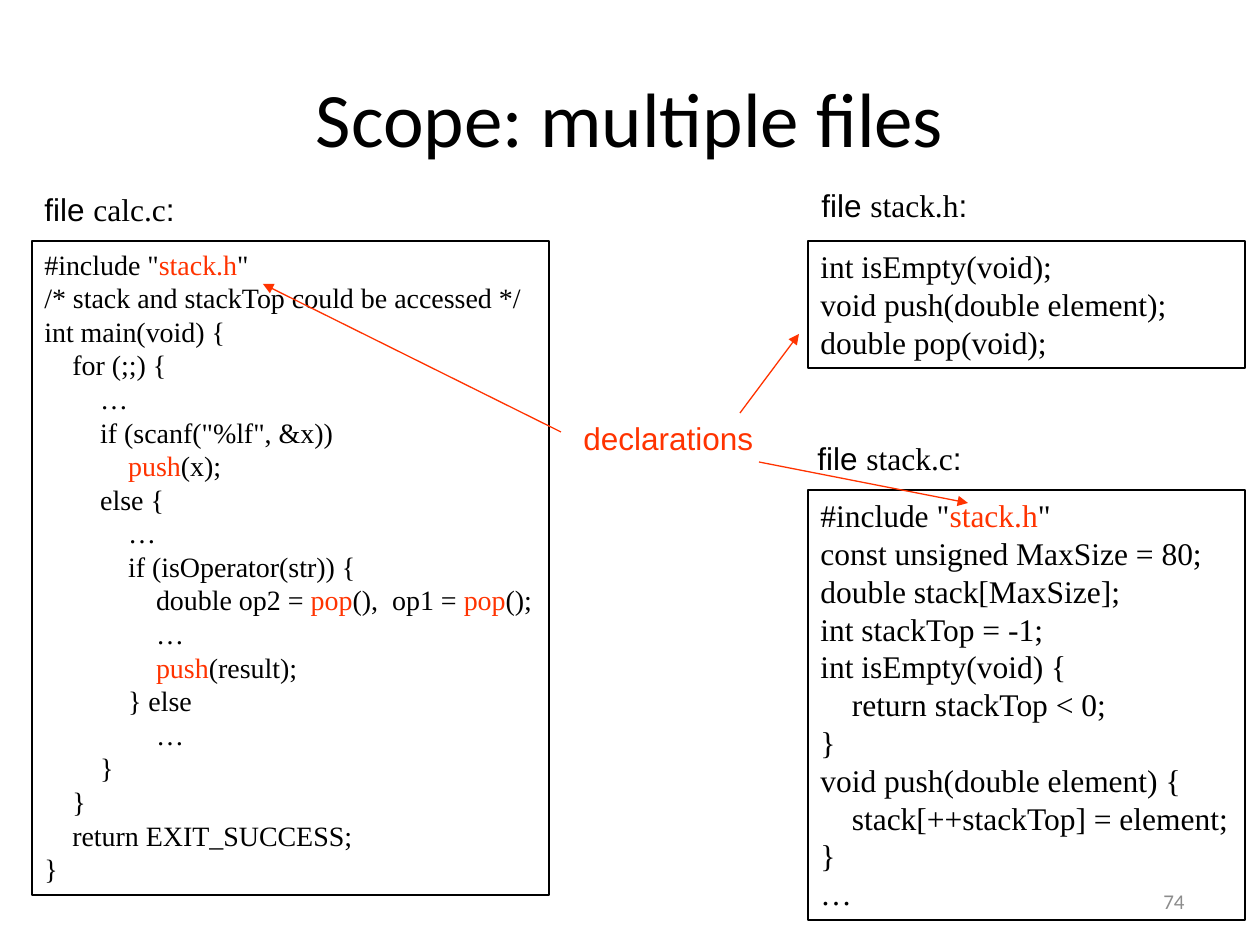
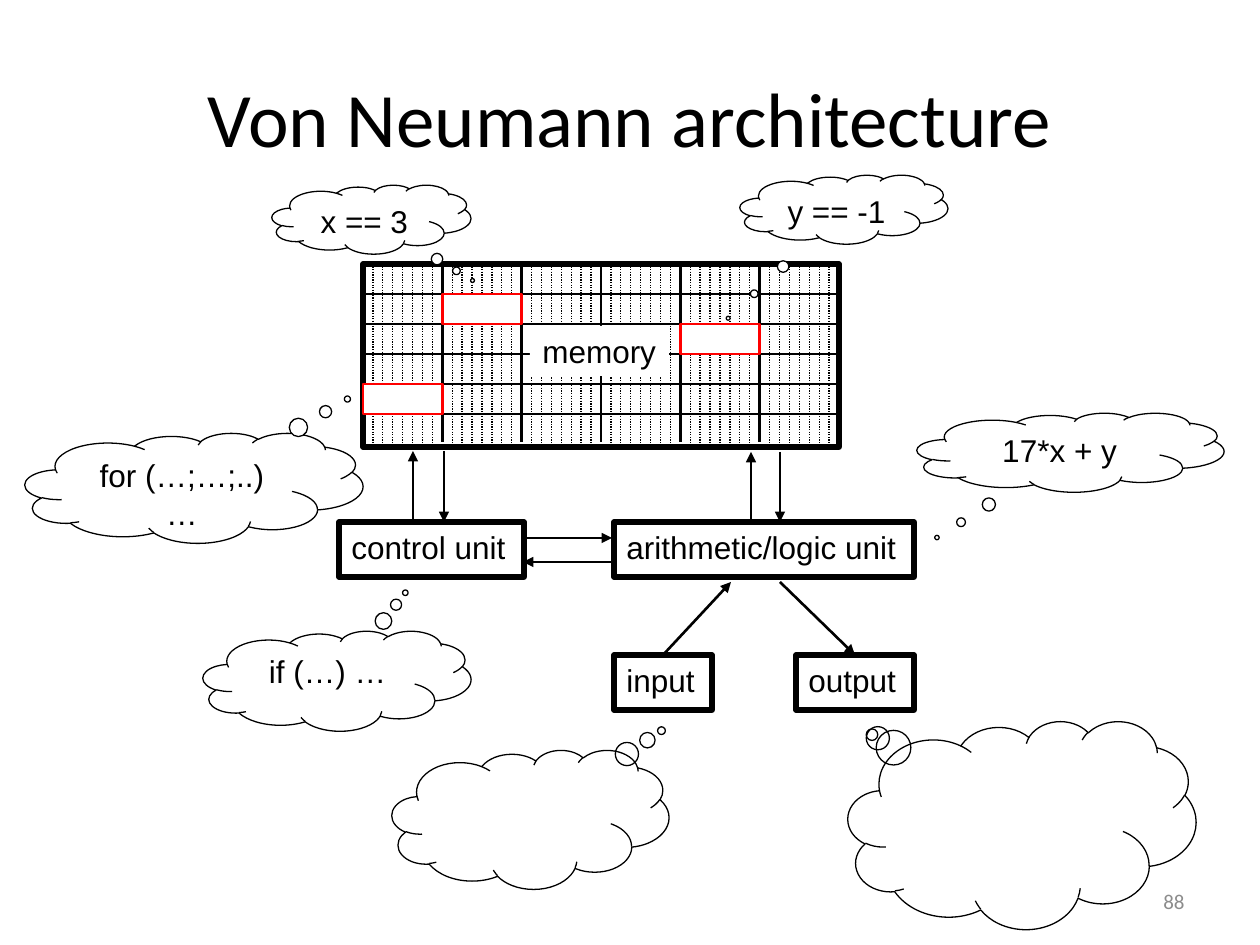
from lxml import etree
from pptx import Presentation
from pptx.dml.color import RGBColor
from pptx.enum.dml import MSO_LINE
from pptx.enum.shapes import MSO_CONNECTOR, MSO_SHAPE
from pptx.enum.text import MSO_ANCHOR, MSO_AUTO_SIZE, PP_ALIGN
from pptx.oxml.ns import qn
from pptx.util import Emu, Pt

RECT, CLOUD = MSO_SHAPE.RECTANGLE, MSO_SHAPE.CLOUD_CALLOUT
STRAIGHT = MSO_CONNECTOR.STRAIGHT
DOTTED = MSO_LINE.ROUND_DOT
LEFT, CENTER, RIGHT = PP_ALIGN.LEFT, PP_ALIGN.CENTER, PP_ALIGN.RIGHT
TOP, MIDDLE = MSO_ANCHOR.TOP, MSO_ANCHOR.MIDDLE
GROW = MSO_AUTO_SIZE.SHAPE_TO_FIT_TEXT

COLORS = {"ink": "000000", "white": "FFFFFF", "declared": "FF3300",
          "cell": "FF0000", "number": "8C8C8C"}
SANS, SERIF, HEADING = "Arial", "Times New Roman", "Calibri"
TOP_SIDE = 0

CALC_C = """#include "~stack.h~"
/* stack and stackTop could be accessed */
int main(void) {
    for (;;) {
        …
        if (scanf("%lf", &x))
            ~push~(x);
        else {
            …
            if (isOperator(str)) {
                double op2 = ~pop~(),  op1 = ~pop~();
                …
                ~push~(result);
            } else
                …
        }
    }
    return EXIT_SUCCESS;
}"""
STACK_H = """int isEmpty(void);
void push(double element);
double pop(void);"""
STACK_C = """#include "~stack.h~"
const unsigned MaxSize = 80;
double stack[MaxSize];
int stackTop = -1;
int isEmpty(void) {
    return stackTop < 0;
}
void push(double element) {
    stack[++stackTop] = element;
}
…"""


def px(length):
    return Emu(round(length * 914400 / 126))


def rgb(name):
    return RGBColor.from_string(COLORS[name])


def style_font(font, size, face, color="ink"):
    font.size, font.name = Pt(size), face
    font.color.rgb = rgb(color)


def add_outline(slide, box, kind=RECT, fill=None, line="ink", width=0.75):
    shape = slide.shapes.add_shape(kind, *map(px, box))
    shape.shadow.inherit = False
    if fill:
        shape.fill.solid()
        shape.fill.fore_color.rgb = rgb(fill)
    else:
        shape.fill.background()
    if line:
        shape.line.color.rgb = rgb(line)
        shape.line.width = Pt(width)
    else:
        shape.line.fill.background()
    return shape


def write(shape, text, size=18, face=SANS, color="ink", align=LEFT,
          anchor=TOP, wrap=False, grow=True):
    """Fill a shape with text; parts between tildes take the declared colour."""
    frame = shape.text_frame
    frame.word_wrap = wrap
    frame.vertical_anchor = anchor
    if grow:
        frame.auto_size = GROW
    for number, line in enumerate(text.split("\n")):
        paragraph = frame.add_paragraph() if number else frame.paragraphs[0]
        paragraph.alignment = align
        style_font(paragraph.font, size, face, color)
        for part, words in enumerate(line.split("~")):
            if words:
                run = paragraph.add_run()
                run.text = words
                if part % 2:
                    run.font.color.rgb = rgb("declared")


def add_text(slide, box, text, **style):
    write(slide.shapes.add_textbox(*map(px, box)), text, **style)


def add_line(slide, start, end, color="ink", width=0.75, dash=None, arrow=False):
    line = slide.shapes.add_connector(STRAIGHT, *map(px, start + end))
    line.line.color.rgb = rgb(color)
    line.line.width = Pt(width)
    if dash:
        line.line.dash_style = dash
    if arrow:
        etree.SubElement(line.line._get_or_add_ln(), qn("a:tailEnd"), type="triangle")
    etree.SubElement(line._element.spPr, qn("a:effectLst"))
    return line


def add_slide(deck, heading):
    slide = deck.slides.add_slide(deck.slide_layouts[5])
    title = slide.shapes.title
    title.left, title.top, title.width, title.height = map(px, (63, 38, 1134, 158))
    write(title, heading, size=44, face=HEADING, align=CENTER, anchor=MIDDLE,
          wrap=True, grow=False)
    return slide


def add_number(slide, number):
    add_text(slide, (903, 876, 294, 50), number, size=12, face=HEADING,
             color="number", align=RIGHT, anchor=MIDDLE, wrap=True, grow=False)


def add_code_file(slide, name, code, box, label_offset, label_width,
                  size=18, wrap=False):
    """Draw a framed listing with its file name above it."""
    write(add_outline(slide, box), code, size=size, face=SERIF, wrap=wrap)
    label = slide.shapes.add_textbox(px(box[0] + label_offset[0]),
                                     px(box[1] + label_offset[1]),
                                     px(label_width), px(50))
    label.text_frame.word_wrap = False
    label.text_frame.auto_size = GROW
    paragraph = label.text_frame.paragraphs[0]
    for words, face in (("file ", SANS), (name, SERIF), (":", SANS)):
        run = paragraph.add_run()
        run.text = words
        style_font(run.font, 18, face)


def add_memory(slide, box):
    """Draw six columns of eight bits, six rows and the three used cells."""
    left, top, width, height = box
    columns, bits, row = 6, 8, 30
    column = width / columns
    add_outline(slide, box, width=3)
    for index in range(1, 6):
        y = top + index * row
        add_line(slide, (left, y), (left + width, y))
    for bit in range(1, columns * bits):
        x = left + bit * column / bits
        border = bit % bits == 0
        add_line(slide, (x, top), (x, top + height - 5),
                 width=1.5 if border else 0.75, dash=None if border else DOTTED)
    add_text_box = add_outline(slide, (left + 167, top + 62, 139, 50),
                               fill="white", line=None)
    write(add_text_box, "memory")
    for across, down in ((1, 1), (4, 2), (0, 4)):
        add_outline(slide, (left + across * column, top + down * row, column, row),
                    fill="white", line="cell", width=1.5)


def add_unit(slide, box, name):
    unit = add_outline(slide, box, width=3)
    write(unit, name)
    return unit


def add_thought(slide, box, pointer, text="", fill=None):
    cloud = add_outline(slide, box, kind=CLOUD, fill=fill)
    cloud.adjustments[0], cloud.adjustments[1] = pointer
    if text:
        write(cloud, text, align=CENTER, wrap=True, grow=False)


def build_scope(deck):
    slide = add_slide(deck, "Scope: multiple files")
    add_code_file(slide, "calc.c", CALC_C, (32, 241, 517, 654), (0, -57), 156, size=16)
    add_code_file(slide, "stack.h", STACK_H, (808, 241, 437, 127), (1, -61), 171, wrap=True)
    add_code_file(slide, "stack.c", STACK_C, (808, 490, 437, 430), (-3, -57), 170)
    add_text(slide, (571, 413, 195, 50), "declarations", color="declared")
    for start, end in (((561, 432), (263, 284)),
                       ((759, 462), (968, 503)),
                       ((740, 413), (799, 334))):
        add_line(slide, start, end, color="declared", arrow=True)
    add_number(slide, "74")


def build_architecture(deck):
    slide = add_slide(deck, "Von Neumann architecture")
    add_unit(slide, (339, 522, 185, 55), "control unit")
    add_unit(slide, (614, 522, 300, 55), "arithmetic/logic unit")
    add_memory(slide, (363, 264, 476, 183))
    source = add_unit(slide, (614, 655, 98, 55), "input")
    sink = add_unit(slide, (796, 655, 118, 55), "output")

    for start, end in (((413, 522), (413, 451)), ((751, 522), (751, 452)),
                       ((444, 451), (444, 522)), ((780, 452), (780, 522)),
                       ((523, 538), (612, 538)), ((612, 562), (523, 562))):
        add_line(slide, start, end, width=1.5, arrow=True)
    to_output = add_line(slide, (780, 582), (855, 655), width=1.5, arrow=True)
    to_output.end_connect(sink, TOP_SIDE)
    from_input = add_line(slide, (663, 655), (731, 582), width=1.5, arrow=True)
    from_input.begin_connect(source, TOP_SIDE)

    add_thought(slide, (917, 413, 307, 79), (-0.435, 1.076), "17*x + y")
    add_thought(slide, (392, 750, 277, 139), (0.473, -0.639))
    add_thought(slide, (848, 721, 348, 208), (-0.431, -0.434))
    add_thought(slide, (203, 631, 268, 100), (0.255, -0.882), "if (…) …")
    add_thought(slide, (272, 185, 199, 69), (0.508, 0.885), "x == 3", "white")
    add_thought(slide, (740, 175, 208, 69), (-0.557, 1.576), "y == -1", "white")
    add_thought(slide, (25, 433, 338, 110), (0.454, -0.809), "for (…;…;..) …", "white")
    add_number(slide, "88")


def main():
    deck = Presentation()
    deck.slide_width, deck.slide_height = px(1260), px(945)
    build_scope(deck)
    build_architecture(deck)
    deck.save("out.pptx")


if __name__ == "__main__":
    main()
